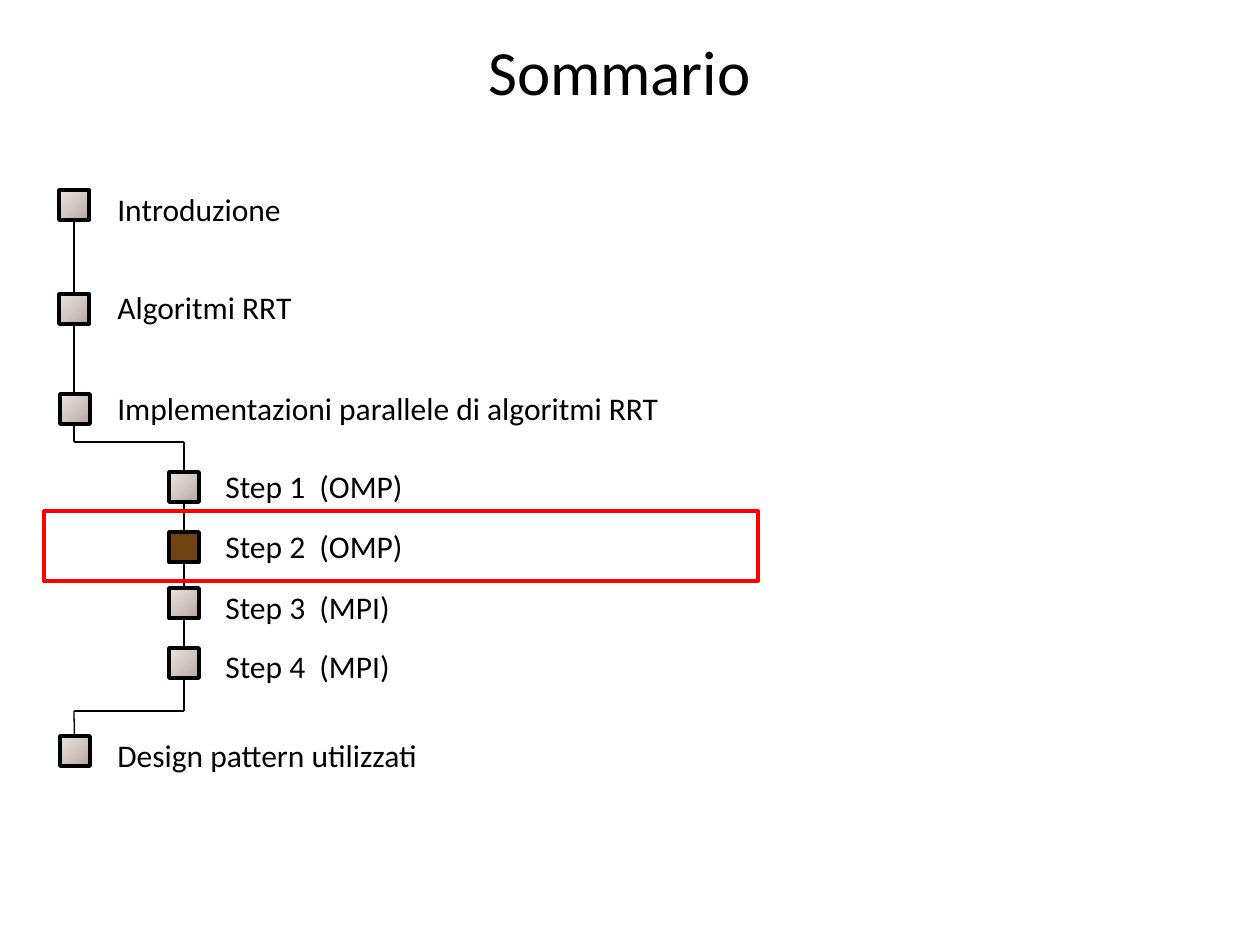
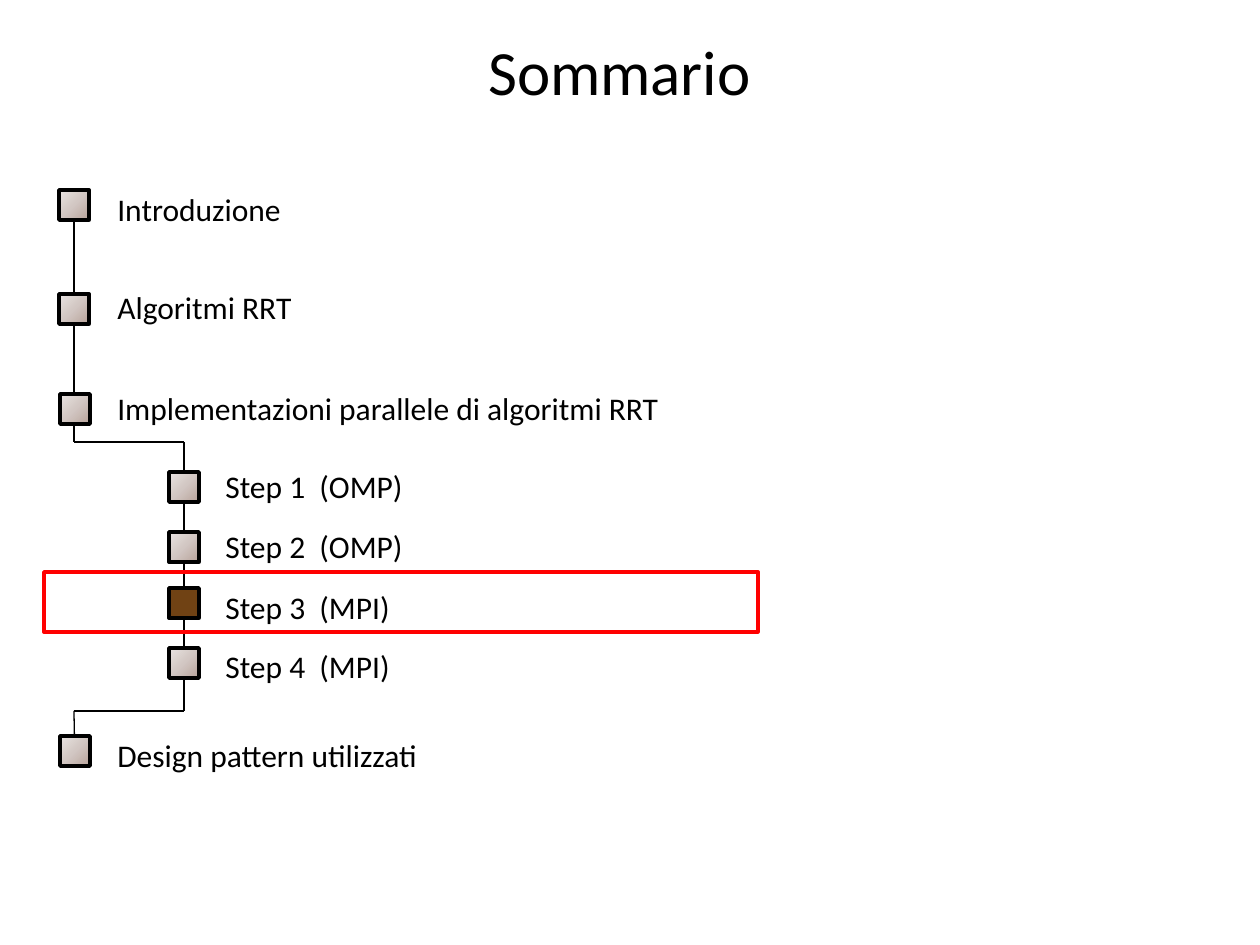
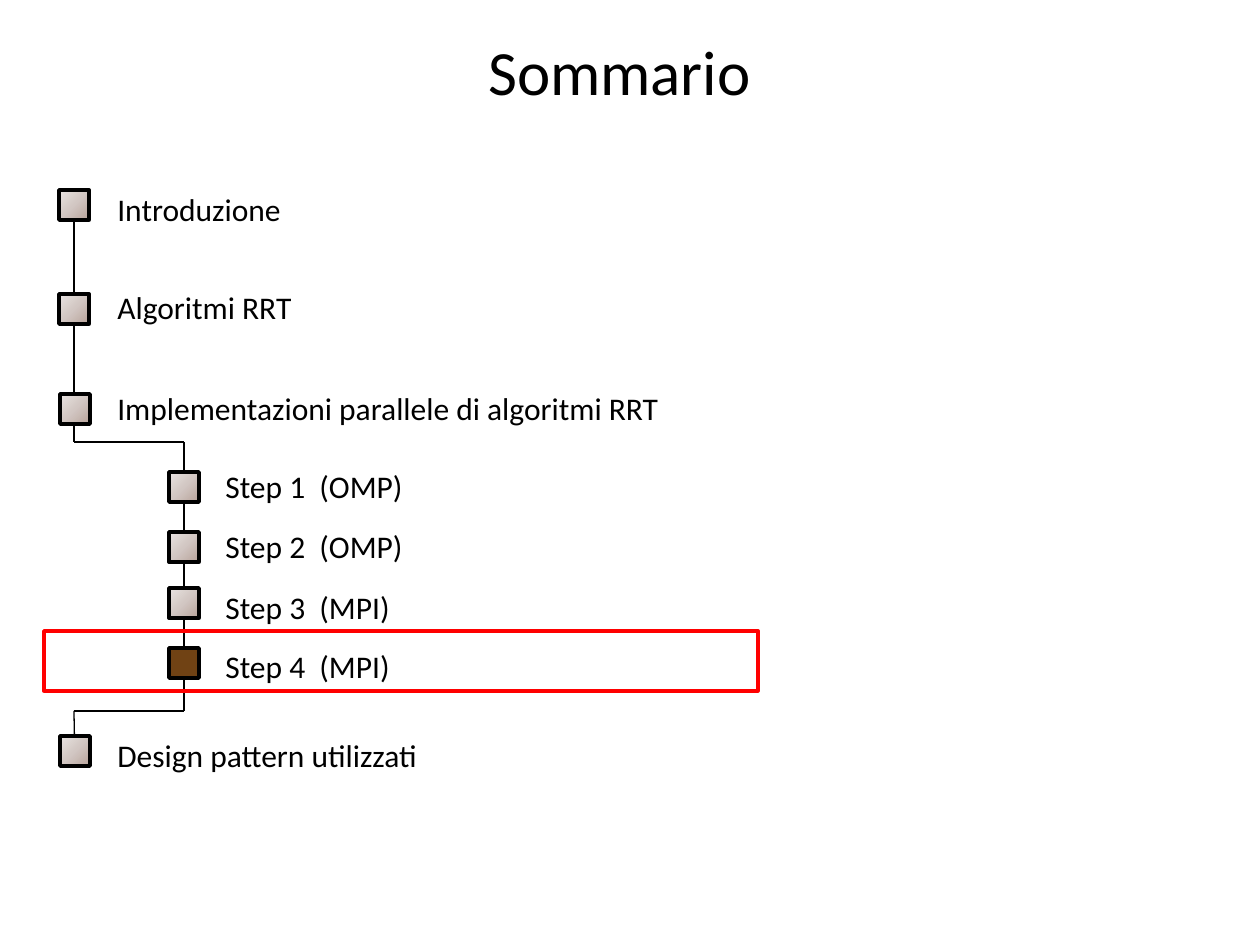
import copy

import pptx
import pptx.dml.color
import pptx.enum.shapes
import pptx.enum.text
import pptx.oxml.ns
import pptx.oxml.xmlchemy
import pptx.util

SCALE = 914400 / 126
FONT = "Calibri"
BLACK = "000000"
RED = "FF0000"
BROWN = "704214"
GRADIENT = ["B8A39A", "D2C7C3", "E9E4E2"]
MARKER_SIZE = 30
LABEL_WIDTH, LABEL_HEIGHT = 932, 50
FRAME_LEFT, FRAME_WIDTH = 44, 714
MAIN_X, STEP_X = 74, 184
BRANCH_Y, MERGE_Y = 442, 711

entries = [
    ("Introduzione", 59, 190, 105, 184),
    ("Algoritmi RRT", 59, 294, 105, 282),
    ("Implementazioni parallele di algoritmi RRT", 60, 394, 105, 383),
    ("Step 1  (OMP)", 169, 472, 213, 461),
    ("Step 2  (OMP)", 169, 532, 213, 521),
    ("Step 3  (MPI)", 169, 588, 213, 582),
    ("Step 4  (MPI)", 169, 648, 213, 641),
    ("Design pattern utilizzati", 60, 736, 105, 730),
]
tree_lines = [
    (MAIN_X, 204, MAIN_X, BRANCH_Y),
    (STEP_X, BRANCH_Y, STEP_X, MERGE_Y),
    (MAIN_X, MERGE_Y, MAIN_X + 1, 765),
    (STEP_X, BRANCH_Y, MAIN_X, BRANCH_Y),
    (STEP_X, MERGE_Y, MAIN_X, MERGE_Y),
]
highlights = [
    ("Step 2  (OMP)", 511, 70),
    ("Step 3  (MPI)", 572, 60),
    ("Step 4  (MPI)", 631, 60),
]


def emu(*lengths):
    return [round(length * SCALE) for length in lengths]


def color(hex_string):
    return pptx.dml.color.RGBColor.from_string(hex_string)


deck = pptx.Presentation()
deck.slide_width, deck.slide_height = emu(1260, 945)

for current_step, frame_top, frame_height in highlights:
    page = deck.slides.add_slide(deck.slide_layouts[6])

    for ends in tree_lines:
        line = page.shapes.add_connector(
            pptx.enum.shapes.MSO_CONNECTOR.STRAIGHT, *emu(*ends))
        line.line.color.rgb = color(BLACK)
        line.line.width = pptx.util.Pt(0.75)
        line._element.spPr.append(pptx.oxml.xmlchemy.OxmlElement("a:effectLst"))

    texts = [("Sommario", 9, 26, 1221, 89, 36, pptx.enum.text.PP_ALIGN.CENTER)]
    for label, marker_left, marker_top, label_left, label_top in entries:
        texts.append((label, label_left, label_top, LABEL_WIDTH, LABEL_HEIGHT,
                      18, pptx.enum.text.PP_ALIGN.LEFT))
    for words, left, top, width, height, size, alignment in texts:
        box = page.shapes.add_textbox(*emu(left, top, width, height))
        box.text_frame.word_wrap = True
        box.text_frame.auto_size = pptx.enum.text.MSO_AUTO_SIZE.SHAPE_TO_FIT_TEXT
        para = box.text_frame.paragraphs[0]
        para.text = words
        para.alignment = alignment
        para.font.name = FONT
        para.font.size = pptx.util.Pt(size)
        para.font.color.rgb = color(BLACK)

    rectangles = [(FRAME_LEFT, frame_top, FRAME_WIDTH, frame_height, RED, None)]
    for label, marker_left, marker_top, label_left, label_top in entries:
        filling = [BROWN] if label == current_step else GRADIENT
        rectangles.append((marker_left, marker_top, MARKER_SIZE, MARKER_SIZE,
                           BLACK, filling))
    for left, top, width, height, outline, filling in rectangles:
        rectangle = page.shapes.add_shape(
            pptx.enum.shapes.MSO_SHAPE.RECTANGLE, *emu(left, top, width, height))
        rectangle.shadow.inherit = False
        rectangle.line.color.rgb = color(outline)
        rectangle.line.width = pptx.util.Pt(2)
        if filling is None:
            rectangle.fill.background()
        elif len(filling) == 1:
            rectangle.fill.solid()
            rectangle.fill.fore_color.rgb = color(filling[0])
        else:
            rectangle.fill.gradient()
            rectangle.fill.gradient_angle = 135
            stop_list = rectangle._element.spPr.find(
                ".//" + pptx.oxml.ns.qn("a:gsLst"))
            stop_list.insert(1, copy.deepcopy(stop_list[0]))
            for index, stop in enumerate(rectangle.fill.gradient_stops):
                stop.position = index / 2
                stop.color.rgb = color(filling[index])

deck.save("out.pptx")
